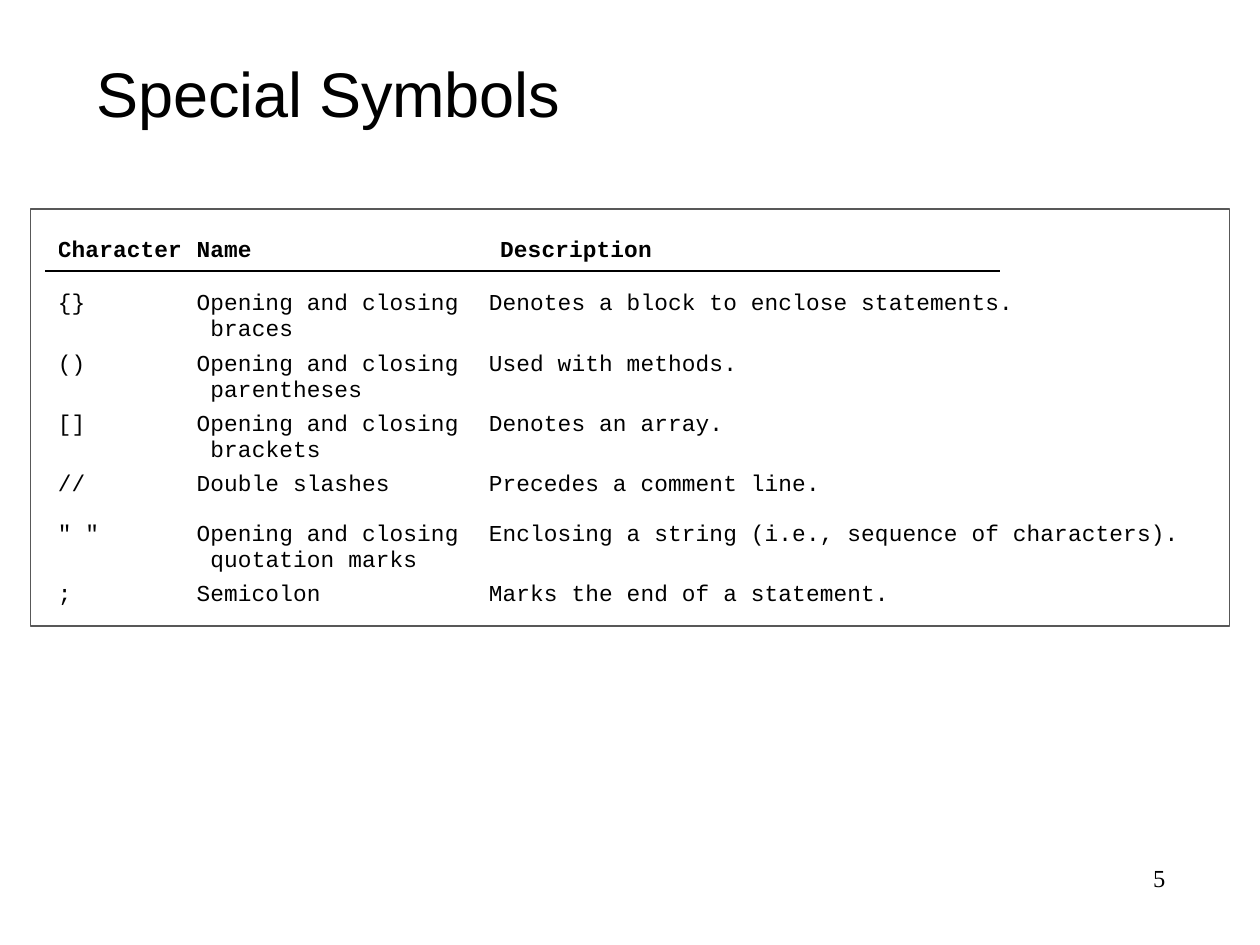
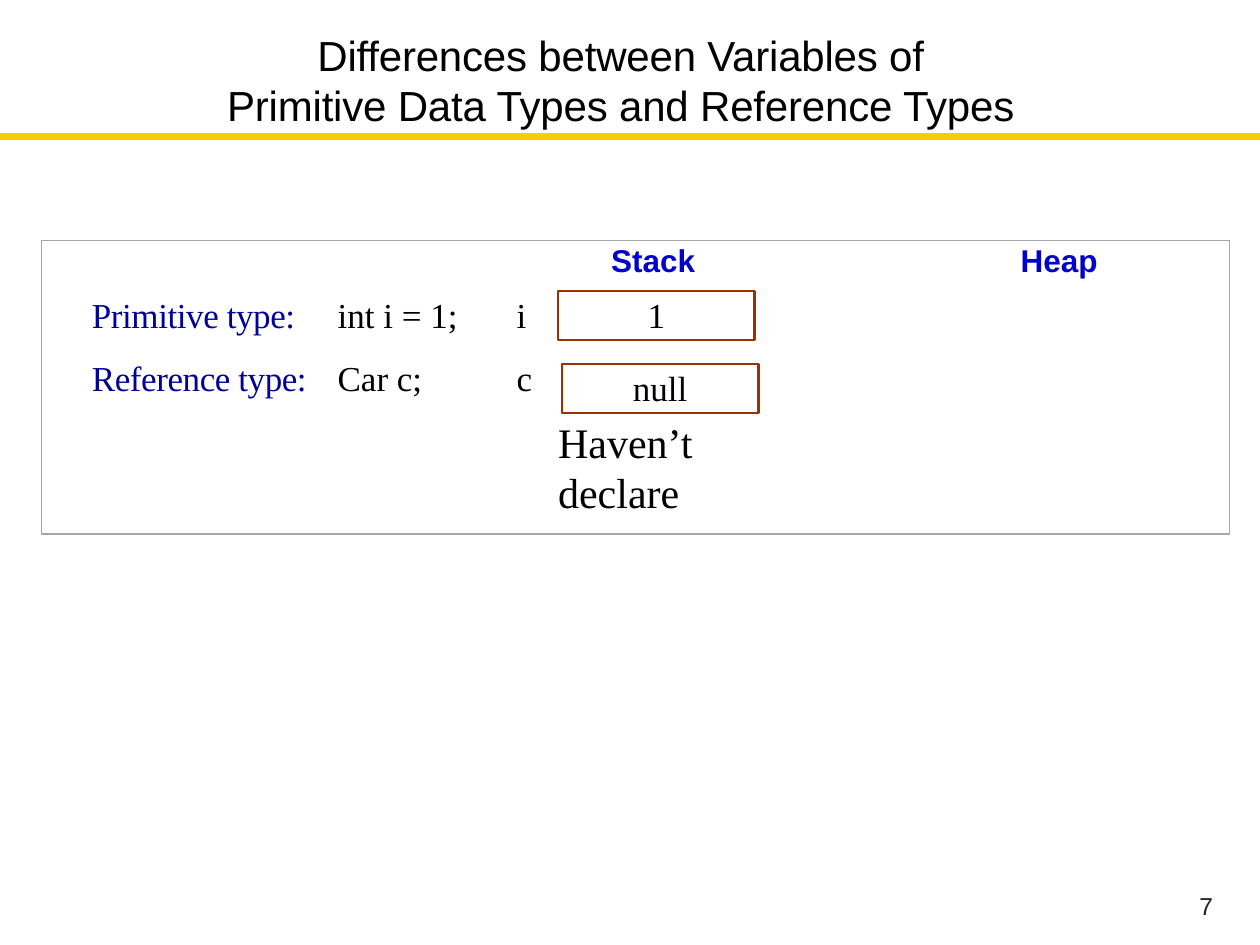
"""Builds two slides on special symbols and on primitive and reference variables."""
from lxml import etree
from pptx import Presentation
from pptx.dml.color import RGBColor
from pptx.enum.shapes import MSO_CONNECTOR, MSO_SHAPE
from pptx.enum.text import MSO_ANCHOR, MSO_AUTO_SIZE, PP_ALIGN
from pptx.oxml.ns import qn
from pptx.util import Inches, Pt

LEFT, CENTER, RIGHT = PP_ALIGN.LEFT, PP_ALIGN.CENTER, PP_ALIGN.RIGHT
TOP, MIDDLE = MSO_ANCHOR.TOP, MSO_ANCHOR.MIDDLE
NO_AUTOSIZE = MSO_AUTO_SIZE.NONE
STRAIGHT, RECTANGLE = MSO_CONNECTOR.STRAIGHT, MSO_SHAPE.RECTANGLE

BLACK = RGBColor(0x00, 0x00, 0x00)
DARK_GREY = RGBColor(0x21, 0x21, 0x21)
FRAME_GREY = RGBColor(0x58, 0x58, 0x58)
LIGHT_GREY = RGBColor(0xA6, 0xA6, 0xA6)
GOLD = RGBColor(0xFF, 0xCC, 0x00)
NAVY = RGBColor(0x00, 0x00, 0x99)
BLUE = RGBColor(0x00, 0x00, 0xCC)
BROWN = RGBColor(0x99, 0x33, 0x00)

SANS, SERIF, MONO = "Arial", "Times New Roman", "Courier New"

HEADINGS = ("Character", "Name", "Description")
SYMBOLS = (
    ("{}", "Opening and closing braces", "Denotes a block to enclose statements."),
    ("()", "Opening and closing parentheses", "Used with methods."),
    ("[]", "Opening and closing brackets", "Denotes an array."),
    ("//", "Double slashes", "Precedes a comment line."),
    ('" "', "Opening and closing quotation marks",
     "Enclosing a string (i.e., sequence of characters)."),
    (";", "Semicolon", "Marks the end of a statement."),
)
COLUMN_WIDTHS = (1.1, 2.32, 5.6)
ROW_HEIGHTS = (0.42, 0.48, 0.48, 0.48, 0.39, 0.48, 0.28)

VARIABLES = (
    ("Primitive type:", "int i = 1;", "i", "1", 4.43, 2.31),
    ("Reference type:", "Car c;", "c", "null", 4.46, 2.89),
)


def write(frame, text, font=SERIF, size=20, color=BLACK, bold=False,
          align=LEFT, tracking=0, line=None, hanging=0):
    """Fill a text frame with one formatted paragraph per line of text."""
    for number, words in enumerate(text.split("\n")):
        paragraph = frame.add_paragraph() if number else frame.paragraphs[0]
        paragraph.alignment = align
        paragraph.space_before = Pt(0)
        if line:
            paragraph.line_spacing = Pt(line)
        if hanging:
            properties = paragraph._p.get_or_add_pPr()
            properties.set("marL", str(Inches(hanging)))
            properties.set("indent", str(-Inches(hanging)))
        run = paragraph.add_run()
        run.text = words
        run.font.name, run.font.size, run.font.bold = font, Pt(size), bold
        run.font.color.rgb = color
        run._r.get_or_add_rPr().set("spc", str(round(tracking * 100)))


def prepare(frame, anchor=TOP, wrap=True, top_inset=0):
    """Give a text frame fixed size, small insets and an anchor."""
    frame.auto_size = NO_AUTOSIZE
    frame.word_wrap = wrap
    frame.vertical_anchor = anchor
    frame.margin_left = frame.margin_right = frame.margin_bottom = 0
    frame.margin_top = Inches(top_inset)
    return frame


def add_label(slide, text, left, top, width, height=0.35, **style):
    """Place text in a box without line or fill."""
    box = slide.shapes.add_textbox(*map(Inches, (left, top, width, height)))
    write(prepare(box.text_frame), text, **style)


def add_title_slide(deck, text, left, top, width, height, **style):
    """Add a title-only slide and place its title."""
    slide = deck.slides.add_slide(deck.slide_layouts[5])
    title = slide.shapes.title
    title.left, title.top = Inches(left), Inches(top)
    title.width, title.height = Inches(width), Inches(height)
    write(prepare(title.text_frame, MIDDLE, wrap=False), text,
          font=SANS, align=CENTER, tracking=-0.1, **style)
    return slide


def add_outline(slide, left, top, width, height, color, weight=0.75):
    """Draw an unfilled rectangle."""
    outline = slide.shapes.add_shape(
        RECTANGLE, *map(Inches, (left, top, width, height)))
    outline.shadow.inherit = False
    outline.fill.background()
    outline.line.color.rgb = color
    outline.line.width = Pt(weight)
    return outline


def add_rule(slide, left, right, y, color, weight):
    """Draw a horizontal line."""
    rule = slide.shapes.add_connector(
        STRAIGHT, Inches(left), Inches(y), Inches(right), Inches(y))
    rule.line.color.rgb = color
    rule.line.width = Pt(weight)
    etree.SubElement(rule._element.spPr, qn("a:effectLst"))


def add_symbol_table(slide, left, top):
    """Add the table of special symbols."""
    rows = (HEADINGS,) + SYMBOLS
    table = slide.shapes.add_table(
        len(rows), len(HEADINGS), Inches(left), Inches(top),
        Inches(sum(COLUMN_WIDTHS)), Inches(sum(ROW_HEIGHTS))).table
    table.first_row = table.horz_banding = False
    for column, width in zip(table.columns, COLUMN_WIDTHS):
        column.width = Inches(width)
    for r, (words, height) in enumerate(zip(rows, ROW_HEIGHTS)):
        table.rows[r].height = Inches(height)
        for c, text in enumerate(words):
            cell = table.cell(r, c)
            cell.fill.background()
            cell.margin_right = cell.margin_top = cell.margin_bottom = 0
            cell.margin_left = Inches(0.09 if text == "Description" else 0)
            write(cell.text_frame, text, font=MONO, size=13, bold=r == 0,
                  tracking=0.1, line=15, hanging=0.11 if c == 1 and r else 0)


def build_symbols(deck):
    """Build the slide on special symbols."""
    slide = add_title_slide(deck, "Special Symbols", 0.75, 0.42, 3.71, 0.63, size=36)
    add_symbol_table(slide, 0.46, 1.89)
    add_rule(slide, 0.36, 7.94, 2.15, BLACK, 1.25)
    add_outline(slide, 0.24, 1.66, 9.52, 3.31, FRAME_GREY)
    add_label(slide, "5", 7.17, 6.85, 2.08, size=14, align=RIGHT)


def build_variables(deck):
    """Build the slide on primitive and reference variables."""
    slide = add_title_slide(
        deck, "Differences between Variables of\n"
        "Primitive Data Types and Reference Types",
        0.37, 0.22, 9.11, 0.83, size=24, line=28.6)
    add_rule(slide, 0, 10, 1.08, GOLD, 4)
    add_outline(slide, 0.33, 1.91, 9.43, 2.33, LIGHT_GREY)
    for area, left in (("Stack", 4.85), ("Heap", 8.1)):
        add_label(slide, area, left, 1.91, 1, font=SANS, size=18, color=BLUE, bold=True)
    for row, (kind, code, name, value, left, top) in enumerate(VARIABLES):
        text_top = 2.33 + 0.5 * row
        add_label(slide, kind, 0.73, text_top, 1.9, color=NAVY, tracking=-0.25)
        add_label(slide, code, 2.68, text_top, 1.3)
        add_label(slide, name, 4.1, text_top, 0.3)
        memory = add_outline(slide, left, top, 1.56, 0.39, BROWN, 1.4)
        write(prepare(memory.text_frame, top_inset=0.02), value, align=CENTER)
    add_label(slide, "Haven’t declare", 4.43, 3.3, 1.47, 0.82, size=24, line=29)
    add_label(slide, "7", 9.52, 7.07, 0.3, 0.24, font=SANS, size=14, color=DARK_GREY)


def main():
    """Build and save the presentation."""
    deck = Presentation()
    deck.slide_width, deck.slide_height = Inches(10), Inches(7.5)
    build_symbols(deck)
    build_variables(deck)
    deck.save("out.pptx")


if __name__ == "__main__":
    main()
